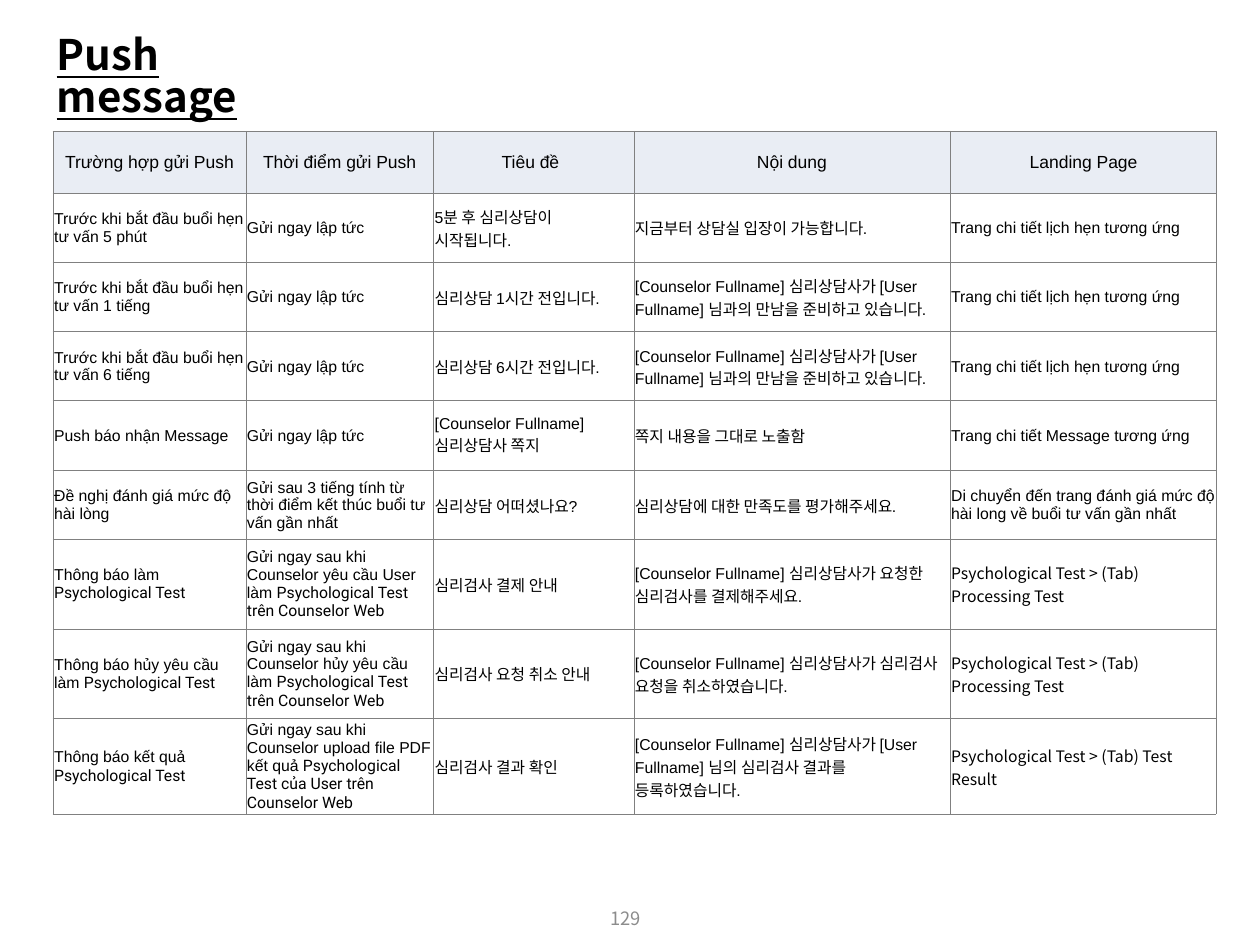
from dataclasses import dataclass

import pptx
import pptx.dml.color
import pptx.enum.text
import pptx.oxml
import pptx.oxml.ns
import pptx.util
from lxml import etree


@dataclass(frozen=True)
class Theme:
    body_font: str = "Arial"
    test_font: str = "Roboto"
    korean_font: str = "Noto Sans CJK KR"
    ink: str = "000000"
    muted: str = "8C8C8C"
    header_fill: str = "E9EDF4"
    body_fill: str = "FFFFFF"
    border: str = "808080"
    border_width: float = 0.25
    title_size: float = 24
    header_size: float = 10
    body_size: float = 9
    number_size: float = 10.5


THEME = Theme()
WIDTH, HEIGHT = 10, 7.5
TABLE_LEFT, TABLE_TOP = 0.42, 1.04
COLUMNS = [1.53, 1.49, 1.59, 2.51, 2.11]
RIGHT_MARGINS = [0.01, 0.01, 0.06, 0.01, 0]
ROWS = [0.49] + [0.55] * 5 + [0.71] * 3
TEST_NAME = "Psychological Test"
AT_ONCE = "Gửi ngay lập tức"
SCHEDULE_PAGE = "Trang chi tiết lịch hẹn tương ứng"
COUNSELOR = "[Counselor Fullname] 심리상담사"
MEETING = f"{COUNSELOR}가 [User Fullname] 님과의 만남을 준비하고 있습니다."
PROCESSING_PAGE = f"{TEST_NAME} > (Tab) Processing Test"

HEADER = ["Trường hợp gửi Push", "Thời điểm gửi Push", "Tiêu đề", "Nội dung", "Landing Page"]
MESSAGES = [
    ["Trước khi bắt đầu buổi hẹn tư vấn 5 phút", AT_ONCE,
     "5분 후 심리상담이 시작됩니다.", "지금부터 상담실 입장이 가능합니다.", SCHEDULE_PAGE],
    ["Trước khi bắt đầu buổi hẹn tư vấn 1 tiếng", AT_ONCE,
     "심리상담 1시간 전입니다.", MEETING, SCHEDULE_PAGE],
    ["Trước khi bắt đầu buổi hẹn tư vấn 6 tiếng", AT_ONCE,
     "심리상담 6시간 전입니다.", MEETING, SCHEDULE_PAGE],
    ["Push báo nhận Message", AT_ONCE, f"{COUNSELOR} 쪽지",
     "쪽지 내용을 그대로 노출함", "Trang chi tiết Message tương ứng"],
    ["Đề nghị đánh giá mức độ hài lòng",
     "Gửi sau 3 tiếng tính từ thời điểm kết thúc buổi tư vấn gần nhất",
     "심리상담 어떠셨나요?", "심리상담에 대한 만족도를 평가해주세요.",
     "Di chuyển đến trang đánh giá mức độ hài long về buổi tư vấn gần nhất"],
    [f"Thông báo làm {TEST_NAME}",
     f"Gửi ngay sau khi Counselor yêu cầu User làm {TEST_NAME} trên Counselor Web",
     "심리검사 결제 안내", f"{COUNSELOR}가 요청한 심리검사를 결제해주세요.", PROCESSING_PAGE],
    [f"Thông báo hủy yêu cầu làm {TEST_NAME}",
     f"Gửi ngay sau khi Counselor hủy yêu cầu làm {TEST_NAME} trên Counselor Web",
     "심리검사 요청 취소 안내", f"{COUNSELOR}가 심리검사 요청을 취소하였습니다.", PROCESSING_PAGE],
    [f"Thông báo kết quả {TEST_NAME}",
     f"Gửi ngay sau khi Counselor upload file PDF kết quả {TEST_NAME} của User trên Counselor Web",
     "심리검사 결과 확인", f"{COUNSELOR}가 [User Fullname] 님의 심리검사 결과를 등록하였습니다.",
     f"{TEST_NAME} > (Tab) Test Result"],
]


def inches(*lengths):
    return [pptx.util.Inches(length) for length in lengths]


def rgb(color):
    return pptx.dml.color.RGBColor.from_string(color)


def style_span(span, font, size, color):
    span.font.name = font
    span.font.size = pptx.util.Pt(size)
    span.font.color.rgb = rgb(color)
    east_asian = etree.Element(pptx.oxml.ns.qn("a:ea"), typeface=THEME.korean_font)
    span.font._element.find(pptx.oxml.ns.qn("a:latin")).addnext(east_asian)


def add_borders(cell):
    properties = cell._tc.get_or_add_tcPr()
    for index, side in enumerate(("lnL", "lnR", "lnT", "lnB")):
        line = pptx.oxml.parse_xml(
            f'<a:{side} {pptx.oxml.ns.nsdecls("a")} w="{pptx.util.Pt(THEME.border_width)}">'
            f'<a:solidFill><a:srgbClr val="{THEME.border}"/></a:solidFill></a:{side}>')
        properties.insert(index, line)


def split_test_name(text):
    before, name, after = text.partition(TEST_NAME)
    mixed_font = THEME.test_font if before else THEME.korean_font
    parts = [(before, THEME.body_font), (name + after, mixed_font)]
    return [(words, font) for words, font in parts if words]


def fill_cell(cell, text, is_header, right_margin):
    cell.margin_left, cell.margin_right, cell.margin_top, cell.margin_bottom = inches(
        0.01, right_margin, 0.01, 0)
    cell.vertical_anchor = pptx.enum.text.MSO_ANCHOR.MIDDLE
    cell.fill.solid()
    cell.fill.fore_color.rgb = rgb(THEME.header_fill if is_header else THEME.body_fill)
    para = cell.text_frame.paragraphs[0]
    align = pptx.enum.text.PP_ALIGN
    para.alignment = align.CENTER if is_header else align.LEFT
    size = THEME.header_size if is_header else THEME.body_size
    for words, font in split_test_name(text):
        span = para.add_run()
        span.text = words
        style_span(span, font, size, THEME.ink)
    add_borders(cell)


def add_message_table(page):
    frame = page.shapes.add_table(
        len(ROWS), len(COLUMNS), *inches(TABLE_LEFT, TABLE_TOP, sum(COLUMNS), sum(ROWS)))
    table = frame.table
    table.first_row = table.horz_banding = False
    for column, width in zip(table.columns, inches(*COLUMNS)):
        column.width = width
    for row, height in zip(table.rows, inches(*ROWS)):
        row.height = height
    for row_index, texts in enumerate([HEADER] + MESSAGES):
        for column_index, (text, margin) in enumerate(zip(texts, RIGHT_MARGINS)):
            fill_cell(table.cell(row_index, column_index), text, row_index == 0, margin)


def add_title(page, text):
    title = page.shapes.title
    title.left, title.top, title.width, title.height = inches(0.35, 0.24, 2.48, 0.5)
    frame = title.text_frame
    frame.text = text
    frame.word_wrap = True
    frame.auto_size = pptx.enum.text.MSO_AUTO_SIZE.SHAPE_TO_FIT_TEXT
    frame.vertical_anchor = pptx.enum.text.MSO_ANCHOR.TOP
    para = frame.paragraphs[0]
    para.alignment = pptx.enum.text.PP_ALIGN.LEFT
    para.line_spacing = 0.84
    span = para.runs[0]
    style_span(span, THEME.korean_font, THEME.title_size, THEME.ink)
    span.font.bold = span.font.underline = True
    page.shapes._spTree.append(title._element)


def add_page_number(page, text):
    box = page.shapes.add_textbox(*inches(WIDTH * 0.38, 7.09, 2.33, 0.4))
    frame = box.text_frame
    frame.text = text
    frame.word_wrap = True
    frame.vertical_anchor = pptx.enum.text.MSO_ANCHOR.MIDDLE
    para = frame.paragraphs[0]
    para.alignment = pptx.enum.text.PP_ALIGN.CENTER
    style_span(para.runs[0], THEME.korean_font, THEME.number_size, THEME.muted)


def main():
    deck = pptx.Presentation()
    deck.slide_width, deck.slide_height = inches(WIDTH, HEIGHT)
    page = deck.slides.add_slide(deck.slide_layouts.get_by_name("Title Only"))
    add_page_number(page, "129")
    add_message_table(page)
    add_title(page, "Push message")
    deck.save("out.pptx")


if __name__ == "__main__":
    main()
